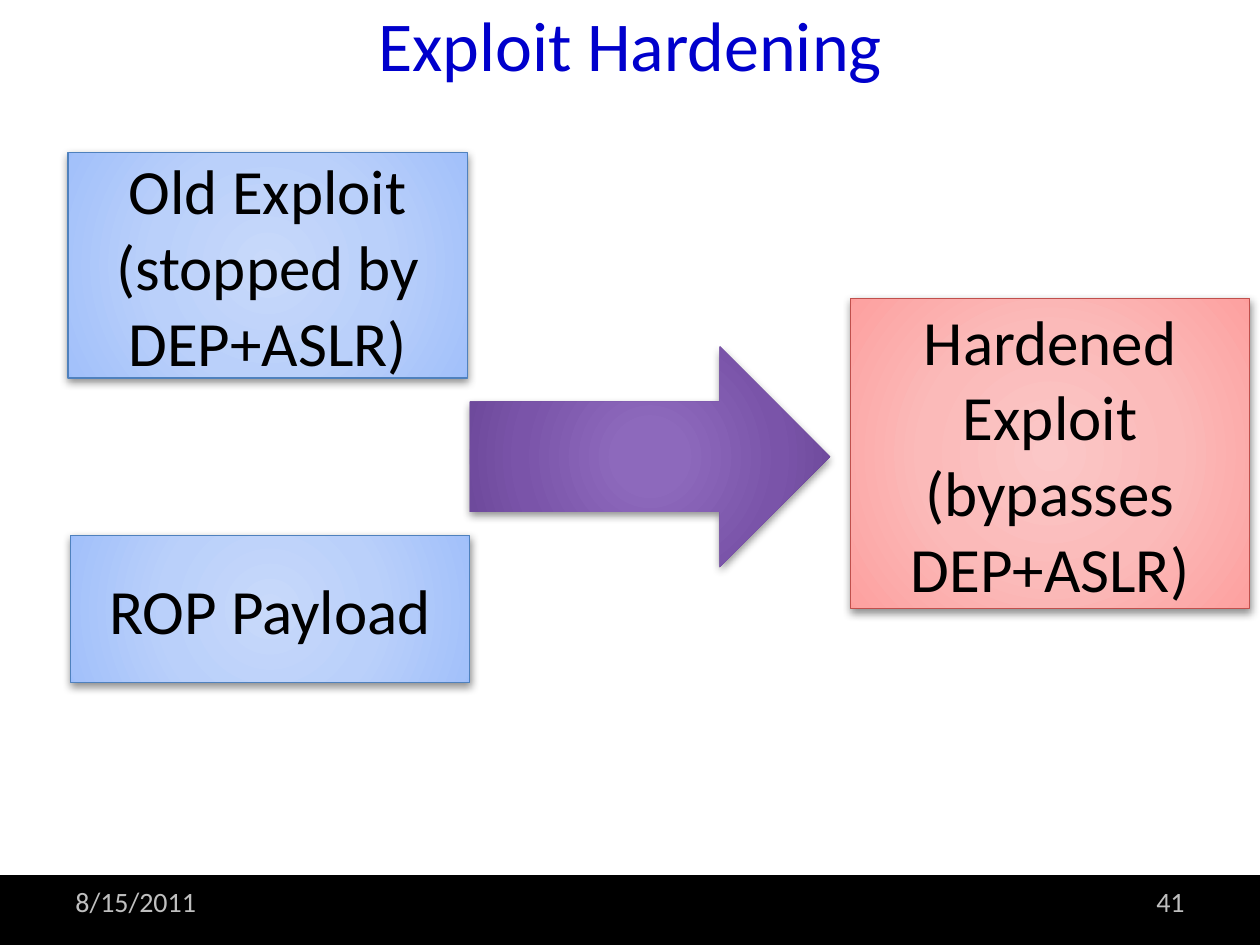
import pptx
import pptx.util
import pptx.dml.color
import pptx.enum.shapes
import pptx.enum.text
import pptx.oxml
import pptx.oxml.ns

Pt = pptx.util.Pt
Kind = pptx.enum.shapes.MSO_SHAPE
Align = pptx.enum.text.PP_ALIGN
Middle = pptx.enum.text.MSO_ANCHOR.MIDDLE
space = pptx.oxml.ns.nsdecls("a")


def color(code):
    return pptx.dml.color.RGBColor.from_string(code)


def write(shape, text, size, code, align):
    frame = shape.text_frame
    frame.text = text
    frame.word_wrap = True
    frame.auto_size = pptx.enum.text.MSO_AUTO_SIZE.NONE
    frame.vertical_anchor = Middle
    for para in frame.paragraphs:
        para.alignment = align
        for run in para.runs:
            run.font.size = Pt(size)
            run.font.name = "Calibri"
            run.font.color.rgb = color(code)


deck = pptx.Presentation()
deck.slide_width, deck.slide_height = Pt(720), Pt(540)
slide = deck.slides.add_slide(deck.slide_layouts[5])
shapes = slide.shapes

band = shapes.add_shape(Kind.RECTANGLE, 0, Pt(500.4), Pt(720), Pt(39.6))
band.shadow.inherit = False
band.fill.solid()
band.fill.fore_color.rgb = color("000000")
band.line.color.rgb = color("000000")
band.line.width = Pt(0.75)

title = shapes.title
title.left, title.top, title.width, title.height = Pt(36), 0, Pt(648), Pt(49.7)
write(title, "Exploit Hardening", 40, "0000CC", Align.CENTER)

for text, left, align in [("8/15/2011", 36, Align.LEFT), ("41", 516, Align.RIGHT)]:
    box = shapes.add_textbox(Pt(left), Pt(500.4), Pt(168), Pt(28.8))
    write(box, text, 16, "BFBFBF", align)

blue = [(0, "C8D9FA"), (50, "BAD0FA"), (97, "A3C1FA"), (100, "99BCFD")]
red = [(0, "FBC7C7"), (50, "FBBAB9"), (97, "FDA2A1"), (100, "FF9A98")]
violet = [(0, "8E6ABD"), (15, "8D69BC"), (62, "7A54A9"), (97, "6A4697"), (100, "664095")]

parts = [
    (Kind.RECTANGLE, 38.9, 87.1, 228.2, 128.9, blue, "4F81BD",
     "Old Exploit\n(stopped by DEP+ASLR)"),
    (Kind.RECTANGLE, 40.3, 306, 228.2, 84.2, blue, "4F81BD", "ROP Payload"),
    (Kind.RIGHT_ARROW, 268.5, 198, 205.9, 126, violet, None, ""),
    (Kind.RECTANGLE, 486, 170.6, 228.2, 177.1, red, "C0504D",
     "Hardened Exploit\n(bypasses DEP+ASLR)"),
]

for kind, left, top, width, height, stops, edge, text in parts:
    part = shapes.add_shape(kind, Pt(left), Pt(top), Pt(width), Pt(height))
    if edge:
        part.line.color.rgb = color(edge)
        part.line.width = Pt(0.75)
    else:
        part.line.fill.background()
    part.fill.background()
    props = part._element.spPr
    marks = "".join(
        f'<a:gs pos="{pos * 1000}"><a:srgbClr val="{code}"/></a:gs>' for pos, code in stops
    )
    blend = pptx.oxml.parse_xml(
        f'<a:gradFill {space} rotWithShape="1"><a:gsLst>{marks}</a:gsLst>'
        '<a:path path="circle"><a:fillToRect l="50000" t="50000" r="50000" b="50000"/>'
        "</a:path></a:gradFill>"
    )
    props.replace(props.find(pptx.oxml.ns.qn("a:noFill")), blend)
    part.shadow.inherit = False
    shade = pptx.oxml.parse_xml(
        f'<a:outerShdw {space} blurRad="{Pt(5)}" dist="{Pt(2)}" dir="5400000" rotWithShape="0">'
        '<a:srgbClr val="000000"><a:alpha val="43000"/></a:srgbClr></a:outerShdw>'
    )
    props.find(pptx.oxml.ns.qn("a:effectLst")).append(shade)
    if text:
        write(part, text, 36, "000000", Align.CENTER)

deck.save("out.pptx")
